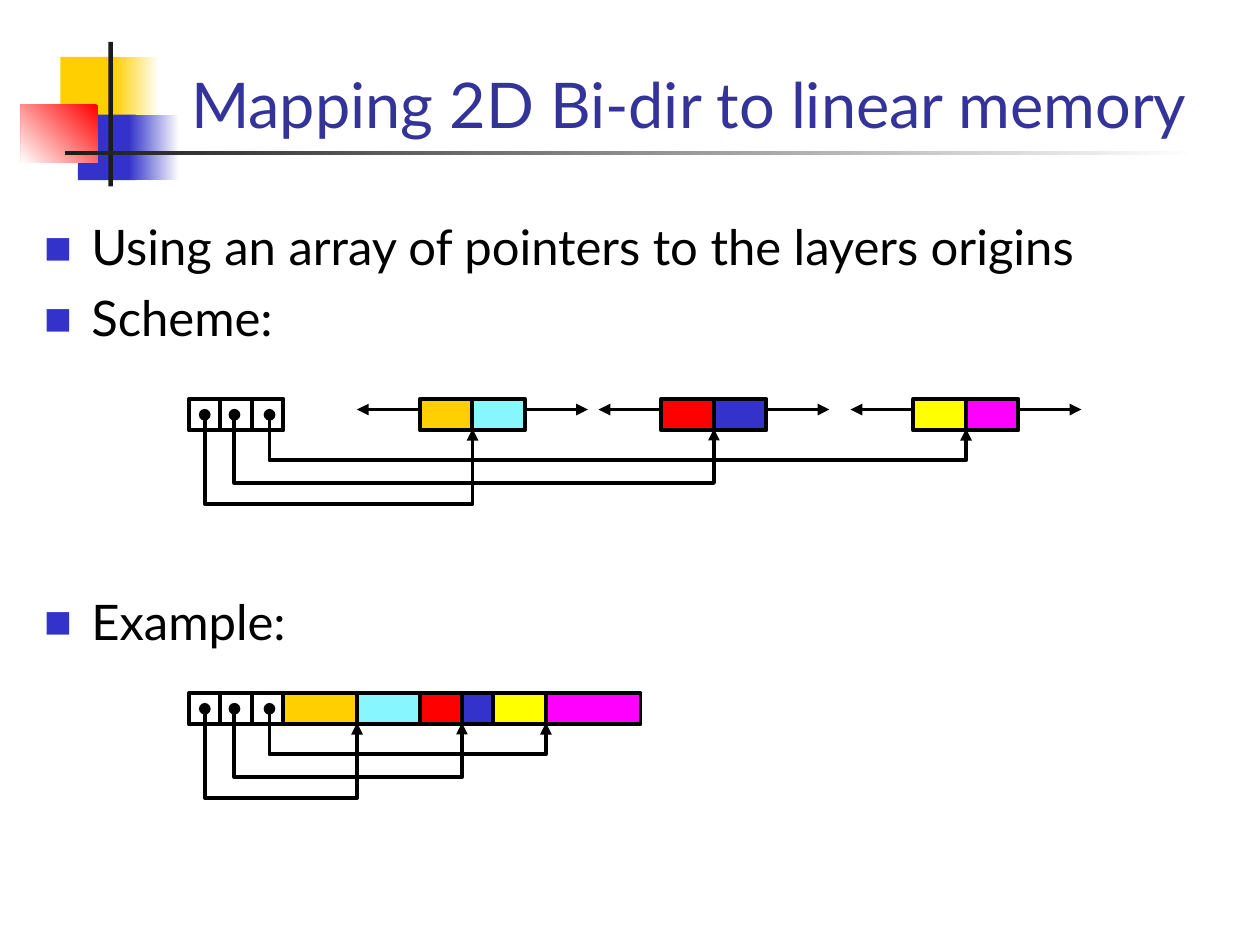
"""Build a slide on mapping 2D bi-directional layers to linear memory."""
from lxml import etree
from pptx import Presentation
from pptx.dml.color import RGBColor
from pptx.enum import shapes, text
from pptx.oxml import ns
from pptx.util import Pt


def hue(code):
    """Turn a hex string into a colour."""
    return RGBColor.from_string(code)


def stroke(item, head=None, tail=None):
    """Give an item a black outline with optional line ends."""
    item.line.color.rgb = hue("000000")
    item.line.width = Pt(2.25)
    line = item.line._get_or_add_ln()
    for tag, kind in (("a:headEnd", head), ("a:tailEnd", tail)):
        if kind:
            etree.SubElement(line, ns.qn(tag), type=kind)


deck = Presentation()
deck.slide_width, deck.slide_height = Pt(720), Pt(540)
slide = deck.slides.add_slide(deck.slide_layouts[1])
items = slide.shapes
rect = shapes.MSO_SHAPE.RECTANGLE

decor = [
    (34.5, 32.5, 34.5, 37.5, ["FFCF01"], 0),
    (65, 32.5, 26, 37.5, ["FFFFFF", "FFCF01"], 180),
    (44.5, 65.5, 33, 37.5, ["3333CC"], 0),
    (73.5, 65.5, 29, 37.5, ["FFFFFF", "3333CC"], 180),
    (12, 60, 44, 33, ["FF0000", "FFFFFF"], 225),
    (62, 24, 2.5, 82.5, ["1C1C1C"], 0),
    (37, 86.5, 648, 2.25, ["FFFFFF", "1C1C1C"], 180),
]
for left, top, wide, high, tones, angle in decor:
    block = items.add_shape(rect, Pt(left), Pt(top), Pt(wide), Pt(high))
    block.shadow.inherit = False
    block.line.fill.background()
    if len(tones) == 1:
        block.fill.solid()
        block.fill.fore_color.rgb = hue(tones[0])
    else:
        block.fill.gradient()
        block.fill.gradient_angle = angle
        for stop, tone in zip(block.fill.gradient_stops, tones):
            stop.color.rgb = hue(tone)

title = items.title
title.left, title.top, title.width, title.height = Pt(102), Pt(24), Pt(594), Pt(60)
frame = title.text_frame
frame.text = "Mapping 2D Bi-dir to linear memory"
frame.auto_size = text.MSO_AUTO_SIZE.NONE
frame.vertical_anchor = text.MSO_ANCHOR.BOTTOM
para = frame.paragraphs[0]
para.alignment = text.PP_ALIGN.LEFT
para.font.name, para.font.size = "Lato", Pt(36)
para.font.color.rgb = hue("333399")

body = slide.placeholders[1]
body.left, body.top, body.width, body.height = Pt(18), Pt(120), Pt(678), Pt(390)
frame = body.text_frame
frame.auto_size = text.MSO_AUTO_SIZE.NONE
frame.vertical_anchor = text.MSO_ANCHOR.TOP
points = [
    ("Using an array of pointers to the layers origins", 0),
    ("Scheme:", 7),
    ("Example:", 140),
]
frame.text = "\n".join(point for point, gap in points)
for para, (point, gap) in zip(frame.paragraphs, points):
    para.space_before = Pt(gap)
    props = para._p.get_or_add_pPr()
    props.set("marL", str(Pt(27)))
    props.set("indent", str(Pt(-27)))
    tint = etree.SubElement(props, ns.qn("a:buClr"))
    etree.SubElement(tint, ns.qn("a:srgbClr"), val="3333CC")
    etree.SubElement(props, ns.qn("a:buSzPct"), val="60000")
    etree.SubElement(props, ns.qn("a:buFont"), typeface="Lato")
    etree.SubElement(props, ns.qn("a:buChar"), char="■")
    para.font.name, para.font.size = "Lato", Pt(28)
    para.font.color.rgb = hue("000000")

cell = 18
tones = ["FFCF01", "87F6FF", "FF0000", "3333CC", "FFFF00", "FF00FF"]
pairs = [240, 378, 522]
half = 30
scheme = [(left + side, half) for left in pairs for side in (0, half)]
example = []
left = 108 + 3 * cell
for wide in (42, 36, 24, 18, 30, 54):
    example.append((left, wide))
    left += wide

for start in pairs:
    for near, far in ((start, start - 36), (start + 2 * half, start + 2 * half + 36)):
        arrow = items.add_connector(
            shapes.MSO_CONNECTOR.STRAIGHT, Pt(near), Pt(234), Pt(far), Pt(234))
        stroke(arrow, tail="triangle")
        etree.SubElement(arrow._element.spPr, ns.qn("a:effectLst"))

for top, parts in ((228, scheme), (396, example)):
    slots = [(108 + cell * i, cell) for i in range(3)]
    for (left, wide), tone in zip(slots + parts, [None] * 3 + tones):
        box = items.add_shape(rect, Pt(left), Pt(top), Pt(wide), Pt(cell))
        box.shadow.inherit = False
        stroke(box)
        if tone:
            box.fill.solid()
            box.fill.fore_color.rgb = hue(tone)
        else:
            box.fill.background()
    goals = [left for left, wide in parts[1::2]]
    for left, drop, goal in zip((117, 134, 154), (60, 48, 35), goals):
        path = items.build_freeform(Pt(left), Pt(top + 9))
        path.add_line_segments(
            [(Pt(left), Pt(top + drop)), (Pt(goal), Pt(top + drop)),
             (Pt(goal), Pt(top + 17))], close=False)
        wire = path.convert_to_shape()
        wire.shadow.inherit = False
        wire.fill.background()
        stroke(wire, "oval", "triangle")

deck.save("out.pptx")
